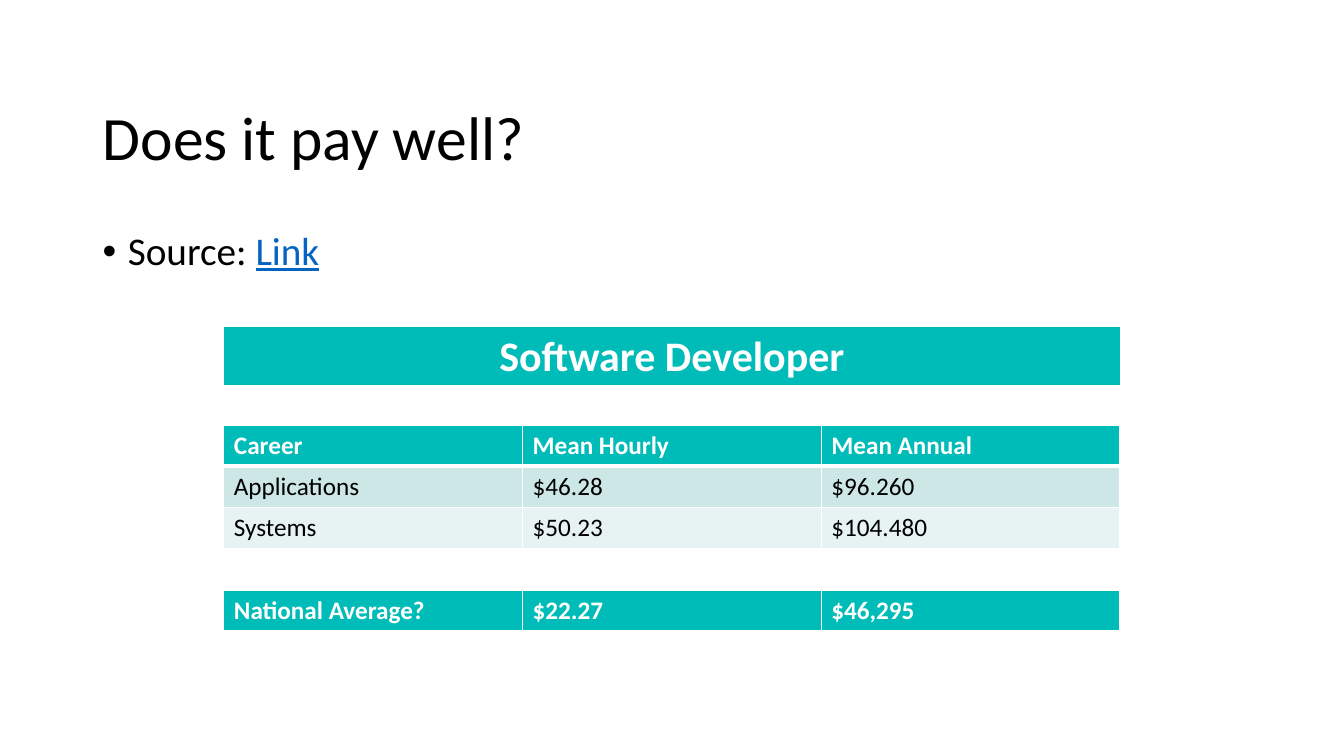
import dataclasses
import pptx
import pptx.dml.color
import pptx.enum.text
import pptx.oxml
import pptx.oxml.ns
import pptx.slide
import pptx.table
import pptx.text.text
import pptx.util

PX = 9144
FONT = "Calibri"
TEAL = "00BCB9"
WHITE = "FFFFFF"
BLACK = "000000"
BLUE = "0563C1"
BANDS = ["CCE7E6", "E7F3F3"]
LEFT, WIDTH = 222, 889
ALIGN = pptx.enum.text.PP_ALIGN
ANCHOR = pptx.enum.text.MSO_ANCHOR


@dataclasses.dataclass
class Grid:
    top: int
    height: int
    rows: list[list[str]]
    size: int = 18
    align: ALIGN = ALIGN.LEFT


GRIDS = [
    Grid(324, 60, [["Software Developer"]], 30, ALIGN.CENTER),
    Grid(422, 122, [
        ["Career", "Mean Hourly", "Mean Annual"],
        ["Applications", "$46.28", "$96.260"],
        ["Systems", "$50.23", "$104.480"],
    ]),
    Grid(586, 41, [["National Average?", "$22.27", "$46,295"]]),
]


def px(count: int) -> int:
    return pptx.util.Emu(count * PX)


def color(code: str) -> pptx.dml.color.RGBColor:
    return pptx.dml.color.RGBColor.from_string(code)


def style(run: pptx.text.text._Run, size: int, code: str, bold: bool = False) -> None:
    run.font.name = FONT
    run.font.size = pptx.util.Pt(size)
    run.font.bold = bold
    run.font.color.rgb = color(code)


def node(tag: str, **attrs: str):
    part = pptx.oxml.parse_xml(f"<{tag} {pptx.oxml.ns.nsdecls('a')}/>")
    for name, value in attrs.items():
        part.set(name, value)
    return part


def border(cell: pptx.table._Cell, head: bool) -> None:
    props = cell._tc.get_or_add_tcPr()
    for index, side in enumerate(["lnL", "lnR", "lnT", "lnB"]):
        points = 3 if head and side == "lnB" else 1
        line = node(f"a:{side}", w=str(pptx.util.Pt(points)))
        fill = node("a:solidFill")
        fill.append(node("a:srgbClr", val=WHITE))
        line.append(fill)
        props.insert(index, line)


def add_grid(slide: pptx.slide.Slide, grid: Grid) -> None:
    table = slide.shapes.add_table(
        len(grid.rows), len(grid.rows[0]),
        px(LEFT), px(grid.top), px(WIDTH), px(grid.height),
    ).table
    for row, texts in enumerate(grid.rows):
        head = row == 0
        for col, text in enumerate(texts):
            cell = table.cell(row, col)
            cell.fill.solid()
            cell.fill.fore_color.rgb = color(TEAL if head else BANDS[row - 1])
            border(cell, head)
            cell.text_frame.text = text
            para = cell.text_frame.paragraphs[0]
            para.alignment = grid.align
            style(para.runs[0], grid.size, WHITE if head else BLACK, head)


def add_text(
    slide: pptx.slide.Slide, top: int, height: int, text: str, size: int, anchor: ANCHOR
) -> pptx.text.text._Paragraph:
    frame = slide.shapes.add_textbox(px(92), px(top), px(1150), px(height)).text_frame
    frame.word_wrap = True
    frame.vertical_anchor = anchor
    frame.text = text
    para = frame.paragraphs[0]
    para.line_spacing = 0.9
    style(para.runs[0], size, BLACK)
    return para


def add_source(slide: pptx.slide.Slide) -> None:
    para = add_text(slide, 225, 451, "Source: ", 28, ANCHOR.TOP)
    para.space_before = pptx.util.Pt(10)
    props = para._p.get_or_add_pPr()
    props.set("marL", str(px(25)))
    props.set("indent", str(-px(25)))
    props.append(node("a:buFont", typeface="Arial"))
    props.append(node("a:buChar", char="•"))
    link = para.add_run()
    link.text = "Link"
    style(link, 28, BLUE)
    link.font.underline = True


def main() -> None:
    deck = pptx.Presentation()
    deck.slide_width = px(1333)
    deck.slide_height = px(750)
    slide = deck.slides.add_slide(deck.slide_layouts[6])
    add_text(slide, 76, 127, "Does it pay well?", 44, ANCHOR.MIDDLE)
    add_source(slide)
    for grid in GRIDS:
        add_grid(slide, grid)
    deck.save("out.pptx")


if __name__ == "__main__":
    main()
